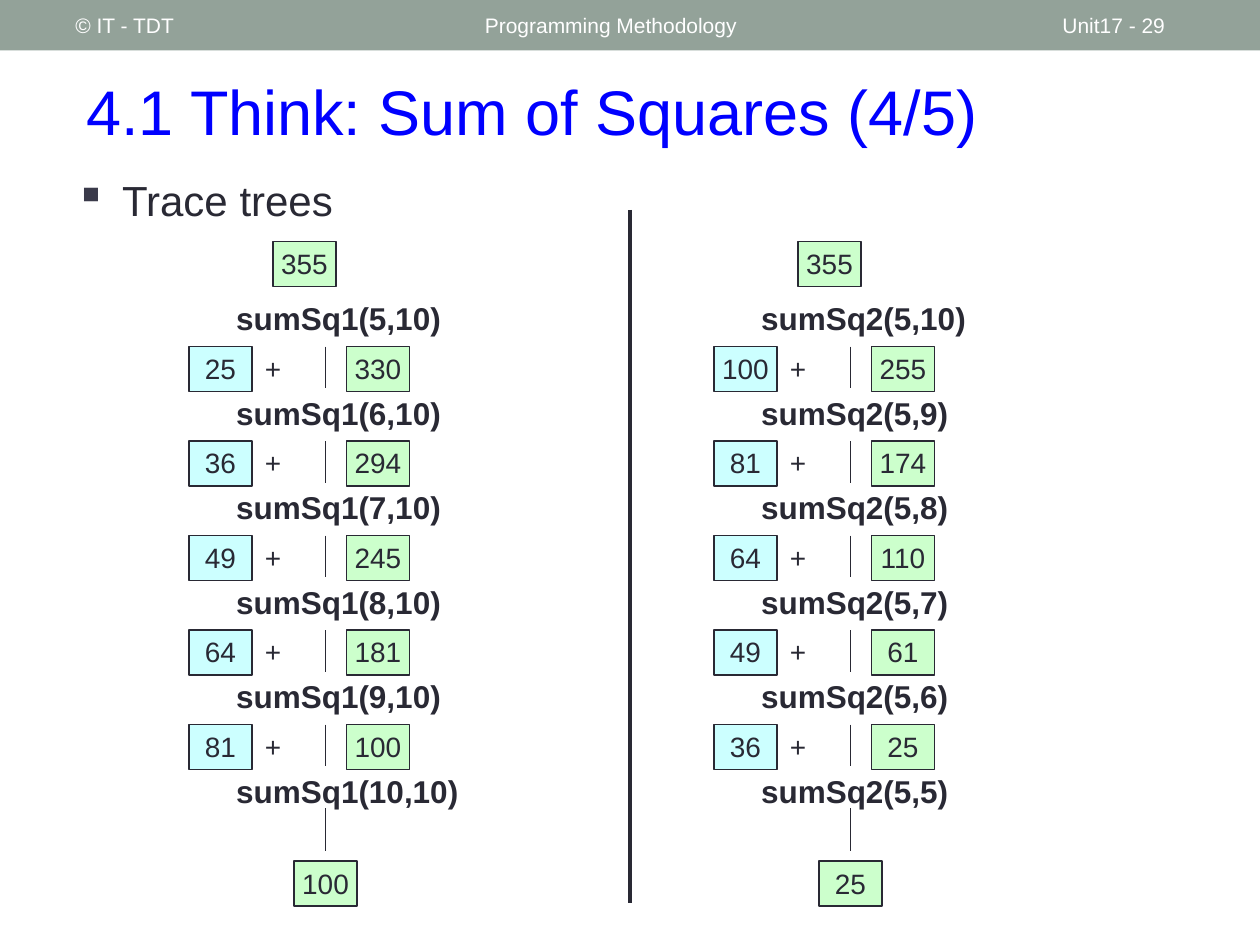
from dataclasses import dataclass
from itertools import accumulate

from lxml import etree
from pptx import Presentation
from pptx.dml.color import RGBColor
from pptx.enum.shapes import MSO_CONNECTOR, MSO_SHAPE
from pptx.enum.text import MSO_ANCHOR, MSO_AUTO_SIZE, PP_ALIGN
from pptx.oxml.ns import qn
from pptx.util import Inches, Pt

LEFT, CENTER = PP_ALIGN.LEFT, PP_ALIGN.CENTER
TOP, MIDDLE = MSO_ANCHOR.TOP, MSO_ANCHOR.MIDDLE
RECTANGLE, STRAIGHT = MSO_SHAPE.RECTANGLE, MSO_CONNECTOR.STRAIGHT
TITLE_ONLY = 5

# The slide is a grid of 120 columns by 90 square cells
SLIDE_WIDTH, SLIDE_HEIGHT = Inches(10), Inches(7.5)
CELL = SLIDE_WIDTH / 120
LEVEL_ROWS = 9
VALUE_COLUMNS, VALUE_ROWS = 6, 4.3


@dataclass(frozen=True)
class Theme:
    font: str = "Arial"
    ink: str = "292934"
    bullet: str = "3A3A4A"
    title: str = "0000FF"
    band: str = "93A299"
    band_text: str = "FFFFFF"
    term: str = "CCFFFF"
    result: str = "CCFFCC"
    title_size: int = 36
    body_size: int = 24
    call_size: int = 18
    value_size: int = 16
    header_size: int = 12
    thin: float = 1
    thick: float = 2.5


THEME = Theme()


def cells(*counts):
    return [round(count * CELL) for count in counts]


def set_text(shape, text, size, color=THEME.ink, bold=False, align=LEFT,
             anchor=TOP, tight=False):
    frame = shape.text_frame
    frame.text = text
    frame.word_wrap = True
    frame.vertical_anchor = anchor
    frame.auto_size = MSO_AUTO_SIZE.NONE
    if tight:
        frame.margin_left = frame.margin_right = Inches(0.04)
        frame.margin_top = frame.margin_bottom = Inches(0.04)
    paragraph = frame.paragraphs[0]
    paragraph.alignment = align
    font = paragraph.font
    font.name, font.size, font.bold = THEME.font, Pt(size), bold
    font.color.rgb = RGBColor.from_string(color)
    return paragraph


def add_text(shapes, box, text, size, **style):
    return set_text(shapes.add_textbox(*cells(*box)), text, size, **style)


def add_rectangle(shapes, box, fill, line=None):
    shape = shapes.add_shape(RECTANGLE, *cells(*box))
    shape.shadow.inherit = False
    shape.fill.solid()
    shape.fill.fore_color.rgb = RGBColor.from_string(fill)
    if line:
        shape.line.color.rgb = RGBColor.from_string(line)
        shape.line.width = Pt(THEME.thin)
    else:
        shape.line.fill.background()
    return shape


def add_value(shapes, column, row, value, fill):
    box = column, row, VALUE_COLUMNS, VALUE_ROWS
    shape = add_rectangle(shapes, box, fill, THEME.ink)
    set_text(shape, str(value), THEME.value_size, align=CENTER, tight=True)


def add_vertical(shapes, column, top, bottom, weight=THEME.thin):
    line = shapes.add_connector(STRAIGHT, *cells(column, top, column, bottom))
    line.line.color.rgb = RGBColor.from_string(THEME.ink)
    line.line.width = Pt(weight)
    etree.SubElement(line._element.spPr, qn("a:effectLst"))


def add_header(shapes, box):
    left, top, width, height = box
    add_rectangle(shapes, box, THEME.band)
    entries = [(6, 38, "© IT - TDT"), (45, 54, "Programming Methodology"),
               (100, 14, "Unit17 - 29")]
    for column, columns, text in entries:
        add_text(shapes, (left + column, top + 0.25, columns, height - 0.5), text,
                 THEME.header_size, color=THEME.band_text, anchor=MIDDLE)


def add_title(slide, box):
    title = slide.shapes.title
    title.left, title.top, title.width, title.height = cells(*box)
    set_text(title, "4.1 Think: Sum of Squares (4/5)", THEME.title_size,
             color=THEME.title, anchor=MIDDLE)


def add_bullet(shapes, box):
    paragraph = add_text(shapes, box, "Trace trees", THEME.body_size)
    properties = paragraph._p.get_or_add_pPr()
    indent = Inches(0.37)
    properties.set("marL", str(indent))
    properties.set("indent", str(-indent))
    # Bullet colour and character come before the default run properties
    color = etree.Element(qn("a:buClr"))
    etree.SubElement(color, qn("a:srgbClr")).set("val", THEME.bullet)
    character = etree.Element(qn("a:buChar"))
    character.set("char", "▪")
    properties.insert(0, color)
    properties.insert(1, character)


def add_trace_tree(shapes, left, top, calls, numbers):
    squares = [number ** 2 for number in numbers]
    # Each call returns its own square plus the sum of all deeper ones
    results = list(accumulate(reversed(squares)))[::-1]
    stem = left + 13

    # Calls, one for each level
    for level, call in enumerate(calls):
        row = top + 5 + level * LEVEL_ROWS
        add_text(shapes, (left + 4, row, 28, 4.5), call, THEME.call_size,
                 bold=True, tight=True)

    # Square + returned result, between neighbouring levels
    for level, (square, result) in enumerate(zip(squares, results[1:])):
        row = top + 10 + level * LEVEL_ROWS
        add_vertical(shapes, stem, row, row + 4)
        add_value(shapes, left, row, square, THEME.term)
        add_text(shapes, (left + 5, row, VALUE_COLUMNS, VALUE_ROWS), "+",
                 THEME.value_size, align=CENTER, tight=True)
        add_value(shapes, left + 15, row, result, THEME.result)

    # Final result above, base case below
    add_value(shapes, left + 8, top, results[0], THEME.result)
    base = top + 5 + len(calls) * LEVEL_ROWS
    add_vertical(shapes, stem, base - 5, base - 1)
    add_value(shapes, left + 10, base, results[-1], THEME.result)


def main():
    presentation = Presentation()
    presentation.slide_width, presentation.slide_height = SLIDE_WIDTH, SLIDE_HEIGHT
    slide = presentation.slides.add_slide(presentation.slide_layouts[TITLE_ONLY])
    shapes = slide.shapes

    add_header(shapes, (0, 0, 120, 4.8))
    add_title(slide, (7, 5, 110, 11))
    add_bullet(shapes, (6, 16, 33, 7))

    # Counting up on the left, counting down on the right
    rising, falling = range(5, 11), range(10, 4, -1)
    add_trace_tree(shapes, 18, 23, [f"sumSq1({low},10)" for low in rising], rising)
    add_trace_tree(shapes.add_group_shape().shapes, 68, 23,
                   [f"sumSq2(5,{high})" for high in falling], falling)
    add_vertical(shapes, 60, 20, 86, THEME.thick)

    presentation.save("out.pptx")


if __name__ == "__main__":
    main()
